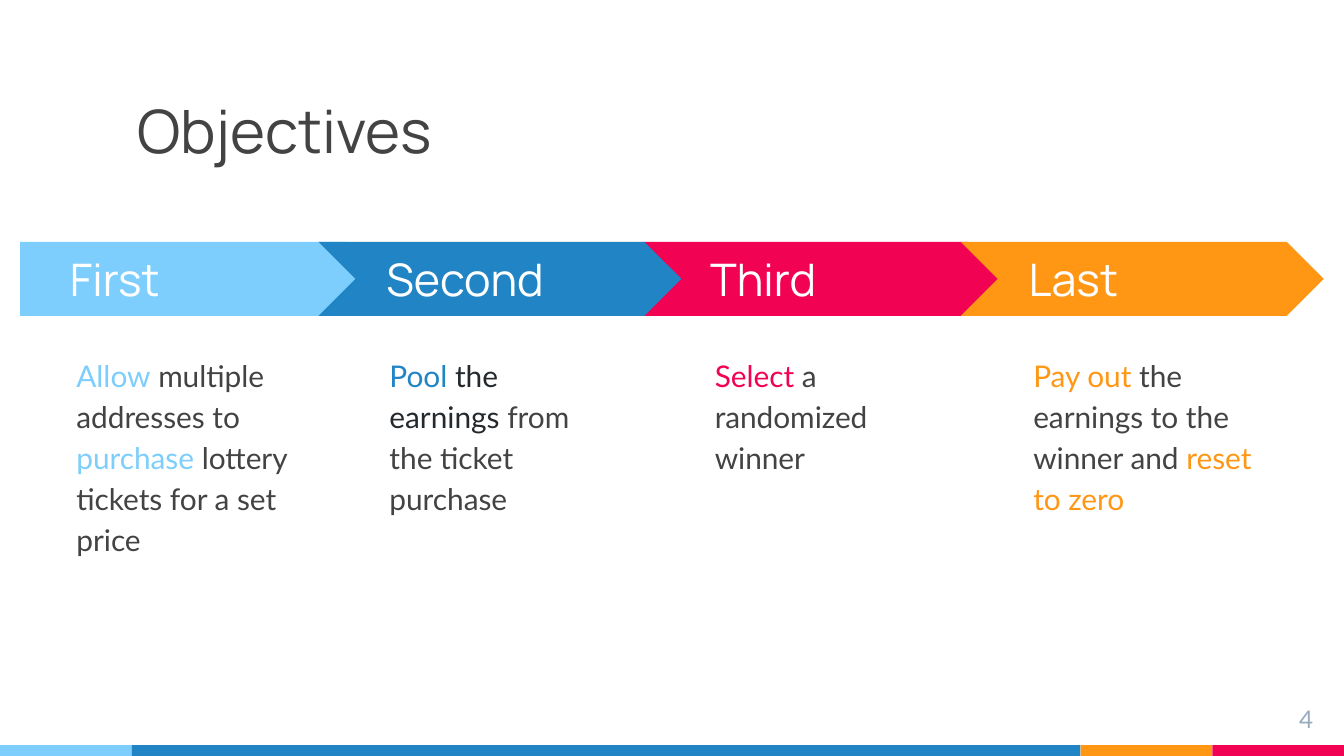
from pptx import Presentation
from pptx.dml.color import RGBColor
from pptx.enum.shapes import MSO_SHAPE
from pptx.enum.text import MSO_ANCHOR, MSO_AUTO_SIZE, PP_ALIGN
from pptx.util import Inches, Pt

RECT, HOME, CHEVRON = MSO_SHAPE.RECTANGLE, MSO_SHAPE.PENTAGON, MSO_SHAPE.CHEVRON
TOP, MIDDLE, BOTTOM = MSO_ANCHOR.TOP, MSO_ANCHOR.MIDDLE, MSO_ANCHOR.BOTTOM
LEFT, RIGHT = PP_ALIGN.LEFT, PP_ALIGN.RIGHT
NO_FIT = MSO_AUTO_SIZE.NONE

WIDE = 10
HIGH = WIDE * 9 / 16
HEAD, BODY = "Manrope", "Lato"
SKY, BLUE, RED, GOLD = "7ECEFD", "2185C5", "F20253", "FF9715"
GREY, INK, PALE, WHITE = "434343", "24292E", "97ABBC", "FFFFFF"
ARROW_TOP, ARROW_WIDE, ARROW_HIGH = 1.8, 2.7, 0.55
NOTE_TOP, NOTE_HIGH = 2.52, 2.15
BAR_HIGH, BAR_END = 0.08, 0.98

# kind, arrow left, label, label inset, colour, note left, note width, note runs
STEPS = [
    (CHEVRON, 4.78, "Third", 0.23, RED, 5.22, 1.83,
     [("Select", RED), (" a randomized winner", GREY)]),
    (HOME, 0.15, "First", 0.37, SKY, 0.47, 1.89,
     [("Allow", SKY), (" multiple addresses to ", GREY), ("purchase", SKY),
      (" lottery tickets for a set price", GREY)]),
    (CHEVRON, 2.37, "Second", 0.23, BLUE, 2.8, 1.83,
     [("Pool ", BLUE), ("the earnings ", INK),
      ("from the ticket purchase", GREY)]),
    (CHEVRON, 7.15, "Last", 0.23, GOLD, 7.59, 1.83,
     [("Pay out", GOLD), (" the earnings to the winner and ", GREY),
      ("reset to zero", GOLD)]),
]


def rgb(code):
    """Turn a hex string into a colour."""
    return RGBColor.from_string(code)


def box(*sides):
    """Turn lengths in inches into slide units."""
    return [Inches(side) for side in sides]


def write(shape, runs, font, size, anchor=TOP, align=LEFT, inset=0.1, lines=1.0):
    """Fill a shape with one paragraph of coloured runs."""
    frame = shape.text_frame
    frame.word_wrap, frame.auto_size = True, NO_FIT
    frame.vertical_anchor = anchor
    frame.margin_left = Inches(inset)
    frame.margin_top = frame.margin_right = frame.margin_bottom = Inches(0.1)
    para = frame.paragraphs[0]
    para.alignment, para.line_spacing = align, lines
    for text, code in runs:
        run = para.add_run()
        run.text = text
        run.font.name, run.font.size = font, Pt(size)
        run.font.color.rgb = rgb(code)


def block(slide, kind, code, *sides):
    """Add a flat shape in one colour."""
    shape = slide.shapes.add_shape(kind, *box(*sides))
    shape.shadow.inherit = False
    shape.fill.solid()
    shape.fill.fore_color.rgb = rgb(code)
    shape.line.fill.background()
    return shape


def stripe(slide):
    """Draw the colour band along the foot of the slide."""
    edges = [0, BAR_END, WIDE - 2 * BAR_END, WIDE - BAR_END, WIDE]
    for code, left, right in zip((SKY, BLUE, GOLD, RED), edges, edges[1:]):
        block(slide, RECT, code, left, HIGH - BAR_HIGH, right - left, BAR_HIGH)


def title(slide, text):
    """Place and write the slide title."""
    shape = slide.shapes.title
    shape.left, shape.top, shape.width, shape.height = box(0.92, 0.39, 7.07, 0.94)
    write(shape, [(text, GREY)], HEAD, 32, BOTTOM)


def note(slide, runs, size, *sides, **style):
    """Add a text box in the body font."""
    write(slide.shapes.add_textbox(*box(*sides)), runs, BODY, size, **style)


def step(slide, kind, left, label, inset, code, start, width, runs):
    """Draw one arrow and the note below it."""
    arrow = block(slide, kind, code, left, ARROW_TOP, ARROW_WIDE, ARROW_HIGH)
    write(arrow, [(label, WHITE)], HEAD, 24, MIDDLE, inset=inset)
    note(slide, runs, 16, start, NOTE_TOP, width, NOTE_HIGH, lines=1.15)


def main():
    """Build and save the slide."""
    deck = Presentation()
    deck.slide_width, deck.slide_height = box(WIDE, HIGH)
    slide = deck.slides.add_slide(deck.slide_layouts[5])
    stripe(slide)
    title(slide, "Objectives")
    for parts in STEPS:
        step(slide, *parts)
    note(slide, [("4", PALE)], 13, 9.27, 5.14, 0.6, 0.34, align=RIGHT)
    deck.save("out.pptx")


if __name__ == "__main__":
    main()
